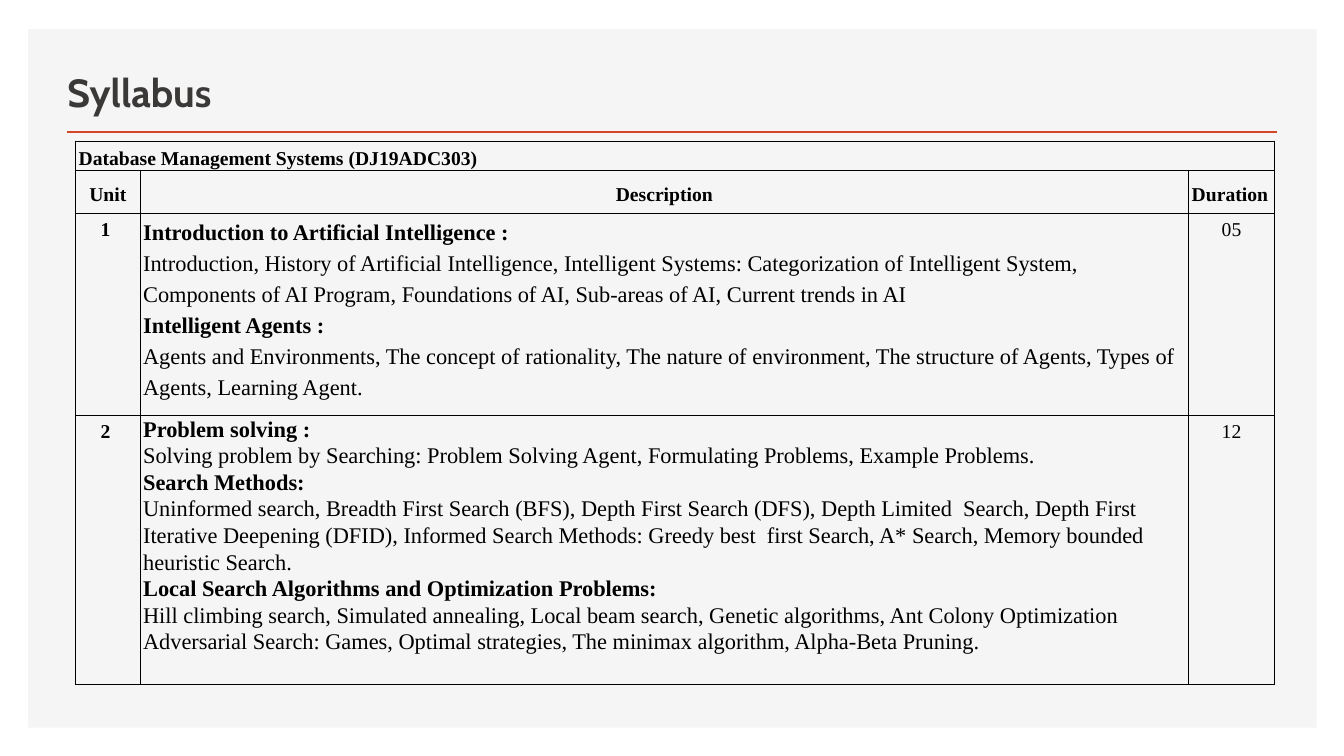
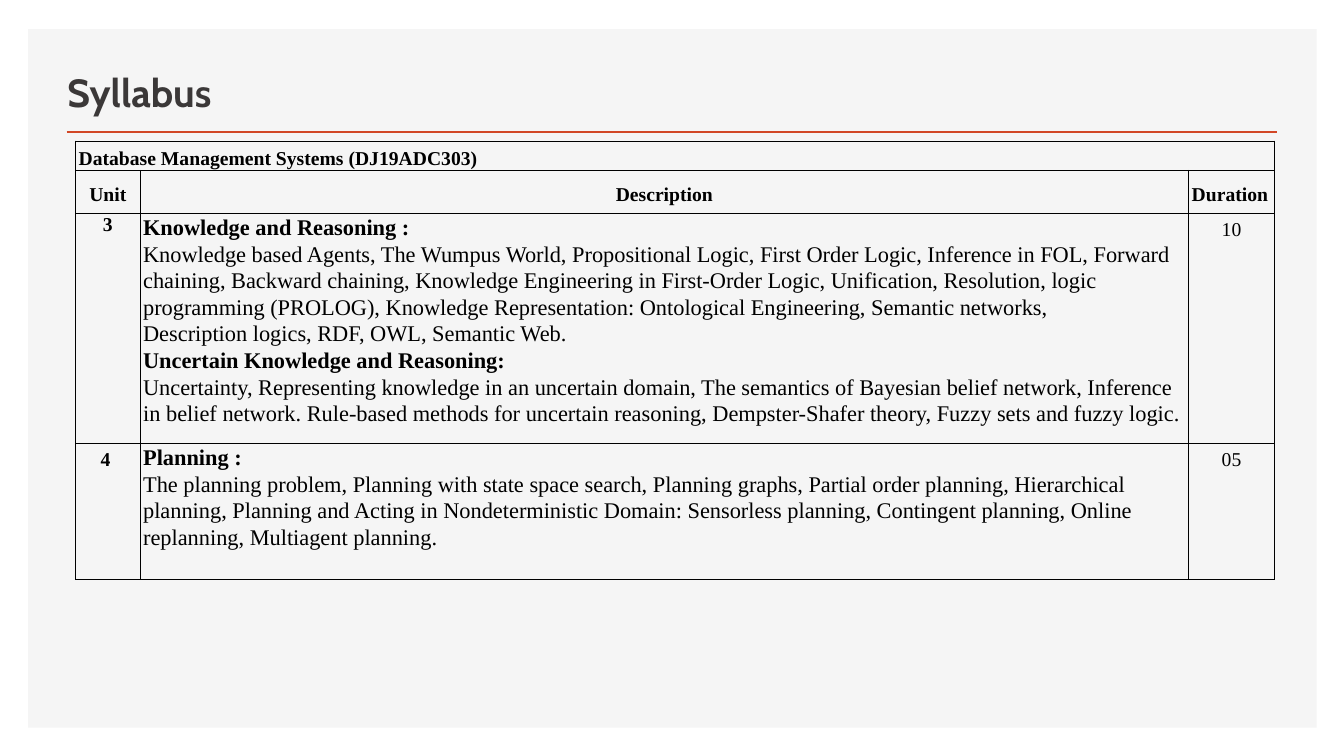
from dataclasses import dataclass
from lxml.etree import SubElement
from pptx import Presentation
from pptx.dml.color import RGBColor
from pptx.enum.shapes import MSO_CONNECTOR, MSO_SHAPE
from pptx.enum.text import MSO_ANCHOR, PP_ALIGN
from pptx.oxml.ns import qn
from pptx.util import Pt

SCALE = 9144


def px(*nums):
    return [num * SCALE for num in nums]


def apply(target, **form):
    for name, value in form.items():
        setattr(target, name, value)


@dataclass(frozen=True)
class Theme:
    panel: str = "F5F5F5"
    accent: str = "D24726"
    title: str = "3B3838"
    ink: str = "000000"
    head: str = "Cabin"
    body: str = "Times New Roman"
    large: int = 28
    text: int = 16
    small: int = 14
    rule: int = 2
    edge: int = 1
    loose: float = 1.25
    tight: float = 1.07


class Deck:
    def __init__(self, theme):
        self.theme = theme
        self.show = Presentation()
        width, height = px(1333, 750)
        apply(self.show, slide_width=width, slide_height=height)
        self.slide = None

    def start(self, title):
        self.slide = self.show.slides.add_slide(self.show.slide_layouts[6])
        self.panel(28, 29, 1278, 693)
        self.rule(66, 131, 1267)
        self.title(title, 57, 49, 752, 70)

    def panel(self, *box):
        shape = self.slide.shapes.add_shape(MSO_SHAPE.RECTANGLE, *px(*box))
        shape.shadow.inherit = False
        shape.fill.solid()
        shape.fill.fore_color.rgb = RGBColor.from_string(self.theme.panel)
        shape.line.fill.background()

    def rule(self, left, top, right):
        line = self.slide.shapes.add_connector(
            MSO_CONNECTOR.STRAIGHT, *px(left, top, right, top))
        line.line.color.rgb = RGBColor.from_string(self.theme.accent)
        line.line.width = Pt(self.theme.rule)
        SubElement(line._element.spPr, qn("a:effectLst"))

    def title(self, text, *box):
        theme = self.theme
        frame = self.slide.shapes.add_textbox(*px(*box)).text_frame
        apply(frame, word_wrap=True, vertical_anchor=MSO_ANCHOR.BOTTOM)
        self.label(frame.paragraphs[0], text, theme.head, theme.large, theme.title)

    def label(self, para, text, face, size, color, bold=True, **form):
        apply(para, **form)
        run = para.add_run()
        run.text = text
        apply(run.font, name=face, size=Pt(size), bold=bold)
        run.font.color.rgb = RGBColor.from_string(color)

    def border(self, cell):
        props = cell._tc.get_or_add_tcPr()
        for side in ("lnL", "lnR", "lnT", "lnB"):
            line = SubElement(props, qn(f"a:{side}"), w=str(Pt(self.theme.edge)))
            fill = SubElement(line, qn("a:solidFill"))
            SubElement(fill, qn("a:srgbClr"), val=self.theme.ink)

    def fill(self, cell, texts, size=None, bold=True, align=PP_ALIGN.CENTER,
             space=None, anchor=MSO_ANCHOR.TOP):
        theme = self.theme
        side, = px(3)
        apply(cell, margin_left=side, margin_right=side, margin_top=0,
              margin_bottom=0, vertical_anchor=anchor)
        frame = cell.text_frame
        for index, text in enumerate(texts):
            para = frame.add_paragraph() if index else frame.paragraphs[0]
            strong = text.endswith(":") if bold is None else bold
            self.label(para, text, theme.body, size or theme.small, theme.ink,
                       strong, alignment=align, line_spacing=space or theme.loose)

    def table(self, course, heads, units):
        widths = (64, 1040, 85)
        heights = [27, 43] + [unit.height for unit in units]
        grid = self.slide.shapes.add_table(
            len(heights), len(widths),
            *px(75, 140, sum(widths), sum(heights))).table
        apply(grid, first_row=False, horz_banding=False)
        for column, width in zip(grid.columns, px(*widths)):
            column.width = width
        for row, height in zip(grid.rows, px(*heights)):
            row.height = height
        for cell in grid.iter_cells():
            self.border(cell)
            cell.fill.background()
        grid.cell(0, 0).merge(grid.cell(0, 2))
        middle = MSO_ANCHOR.MIDDLE
        self.fill(grid.cell(0, 0), [course], align=PP_ALIGN.LEFT, anchor=middle)
        for col, head in enumerate(heads):
            align = PP_ALIGN.LEFT if col == 2 else PP_ALIGN.CENTER
            self.fill(grid.cell(1, col), [head], align=align, anchor=middle)
        for row, unit in enumerate(units, 2):
            self.fill(grid.cell(row, 0), [unit.label], space=unit.lead)
            self.fill(grid.cell(row, 1), unit.topics, self.theme.text, None,
                      PP_ALIGN.LEFT, unit.space)
            self.fill(grid.cell(row, 2), [unit.hours], bold=False)


@dataclass
class Unit:
    label: str
    hours: str
    height: int
    topics: list
    space: float = Theme.tight
    lead: float = Theme.loose


COURSE = "Database Management Systems (DJ19ADC303)"
HEADS = ("Unit", "Description", "Duration")
PAGES = [
    [
        Unit("1 ", "05", 185, [
            "Introduction to Artificial Intelligence :",
            "Introduction, History of Artificial Intelligence, Intelligent Systems: "
            "Categorization of Intelligent System, Components of AI Program, "
            "Foundations of AI, Sub-areas of AI, Current trends in AI",
            "Intelligent Agents :",
            "Agents and Environments, The concept of rationality, The nature of "
            "environment, The structure of Agents, Types of Agents, Learning Agent.",
        ], space=Theme.loose),
        Unit("2 ", "12", 267, [
            "Problem solving :",
            "Solving problem by Searching: Problem Solving Agent, Formulating "
            "Problems, Example Problems.",
            "Search Methods:",
            "Uninformed search, Breadth First Search (BFS), Depth First Search "
            "(DFS), Depth Limited  Search, Depth First Iterative Deepening (DFID), "
            "Informed Search Methods: Greedy best  first Search, A* Search, Memory "
            "bounded heuristic Search.",
            "Local Search Algorithms and Optimization Problems:",
            "Hill climbing search, Simulated annealing, Local beam search, Genetic "
            "algorithms, Ant Colony Optimization",
            "Adversarial Search: Games, Optimal strategies, The minimax algorithm, "
            "Alpha-Beta Pruning.",
        ]),
    ],
    [
        Unit("3", "10", 211, [
            "Knowledge and Reasoning :",
            "Knowledge based Agents, The Wumpus World, Propositional Logic, First "
            "Order Logic, Inference in FOL, Forward chaining, Backward chaining, "
            "Knowledge Engineering in First-Order Logic, Unification, Resolution, "
            "logic programming (PROLOG), Knowledge Representation: Ontological "
            "Engineering, Semantic networks,",
            "Description logics, RDF, OWL, Semantic Web.",
            "Uncertain Knowledge and Reasoning:",
            "Uncertainty, Representing knowledge in an uncertain domain, The "
            "semantics of Bayesian belief network, Inference in belief network. "
            "Rule-based methods for uncertain reasoning, Dempster-Shafer theory, "
            "Fuzzy sets and fuzzy logic.",
        ], lead=1.0),
        Unit("4 ", "05", 135, [
            "Planning :",
            "The planning problem, Planning with state space search, Planning "
            "graphs, Partial order planning, Hierarchical planning, Planning and "
            "Acting in Nondeterministic Domain: Sensorless planning, Contingent "
            "planning, Online replanning, Multiagent planning.",
        ]),
    ],
]


def main():
    deck = Deck(Theme())
    for units in PAGES:
        deck.start("Syllabus")
        deck.table(COURSE, HEADS, units)
    deck.show.save("out.pptx")


if __name__ == "__main__":
    main()
